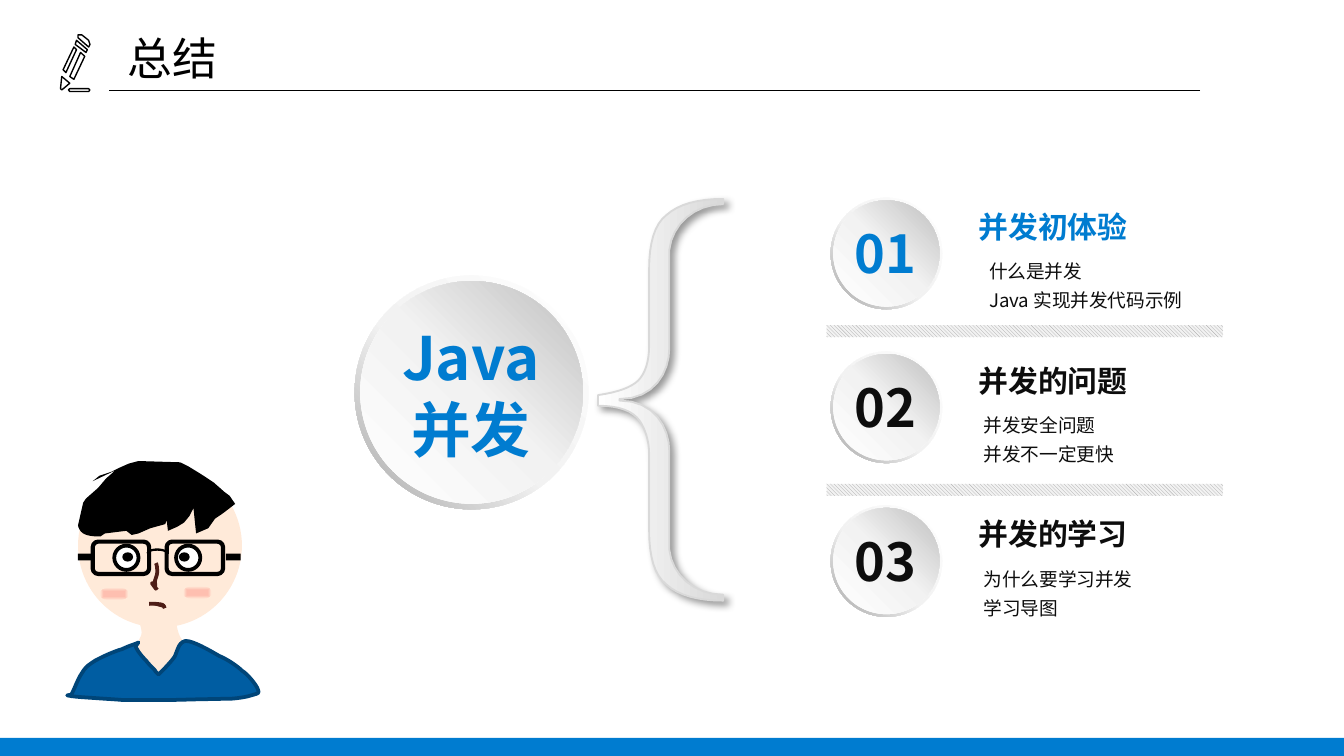
from dataclasses import dataclass

from lxml import etree
from pptx import Presentation
from pptx import util as u
from pptx.dml.color import RGBColor
from pptx.enum import dml, shapes, text
from pptx.oxml import ns, parse_xml

Pt = u.Pt
KIND = shapes.MSO_SHAPE


@dataclass(frozen=True)
class Theme:
    font: str = "Noto Sans CJK SC"
    blue: str = "007CD0"
    ink: str = "0D0D0D"
    black: str = "000000"
    white: str = "FFFFFF"
    pale: str = "F2F2F2"
    grey: str = "A6A6A6"
    edge: str = "D9D9D9"
    skin: str = "FFEAD9"
    shirt: str = "005DA2"
    collar: str = "004578"
    brown: str = "4D1D16"
    title: int = 24
    hub: int = 32
    number: int = 28
    heading: int = 16
    detail: int = 10
    # Gradients: stops, then angle (None spreads from the centre)
    rim: tuple = (((0, "FFFFFF"), (55, "F2F2F2"), (100, "A6A6A6")), 135)
    dome: tuple = (((0, "FFFFFF"), (51, "F2F2F2"), (100, "BFBFBF")), 315)
    brace: tuple = (((0, "FFFFFF"), (100, "D9D9D9")), 0)
    blush: tuple = (((0, "FEBFB0"), (39, "FEBFB0"), (97, "FFEAD9")), None)


T = Theme()
ITEMS = [
    ("并发初体验", ["什么是并发", "Java 实现并发代码示例"], T.blue, 529.9),
    ("并发的问题", ["并发安全问题", "并发不一定更快"], T.ink, 527),
    ("并发的学习", ["为什么要学习并发", "学习导图"], T.ink, 527),
]

# Outlines: two numbers are a straight step, six are a Bézier curve
PENCIL = [
    [(37.4, 47.5), (47.5, 47.5), (48.2, 48.2), (47.5, 49), (37.4, 49), (36.7, 48.2)],
    [(37.4, 41), (43.2, 28.1), (45.4, 30.2), (39.6, 42.5)],
    [(33.8, 37.4), (39.6, 25.2), (41, 26.6), (35.3, 38.9)],
    [(32.4, 47.5), (33.1, 41), (37.4, 44.6), (33.1, 48.2)],
    [(41, 21.6), (40.3, 23.8), (46.1, 28.1), (46.8, 26.6)],
    [(41.8, 18.7), (43.9, 18.7), (47.5, 21.6), (48.2, 23.8), (47.5, 25.2), (41.8, 20.2)],
]
BRACE = [
    (387.4, 106.6), (387.4, 109.4), (372.2, 109.4, 360, 120.2, 358.6, 133.9),
    (358.6, 186.5), (358.6, 199.4, 350.6, 213.8, 331.9, 213.8), (331.9, 214.6),
    (350.6, 214.6, 358.6, 229, 358.6, 241.9), (358.6, 294.5),
    (360, 308.2, 372.2, 318.6, 387.4, 318.6), (387.4, 321.8),
    (373.7, 321.8, 363.6, 319, 357.1, 313.2), (350.6, 308.2, 347.8, 298.1, 347.8, 284.4),
    (347.8, 243.4), (347.8, 236.2, 345.6, 229.7, 342.7, 225.4),
    (339.1, 220.3, 331.9, 217.4, 320.4, 217.4), (320.4, 211.7),
    (331.2, 210.2, 338.4, 207.4, 342, 203.8), (345.6, 200.2, 347.8, 193.7, 347.8, 185),
    (347.8, 144), (347.8, 130.3, 350.6, 120.2, 357.1, 115.2),
    (363.6, 109.4, 373.7, 106.6, 387.4, 106.6),
]
HAIR = [
    (49.7, 257.8), (53.3, 254.9), (59.8, 252.7), (64, 250.6), (69, 248.4), (74.2, 247),
    (96.5, 247.7), (100.8, 249.8), (108, 254.2), (114.5, 258.5), (120.2, 263.5),
    (123.1, 265.7), (126, 270), (119.5, 275), (115.2, 277.9), (111.6, 283),
    (105.1, 285.8), (104.4, 279.4), (103.7, 272.2), (101.5, 276.5), (98.6, 280),
    (95, 282.2), (90, 284.4), (89.3, 278.6), (88.6, 280.8), (80.6, 283), (74.2, 285.8),
    (70.6, 286.6), (67.7, 284.4), (56.2, 285.8), (54, 287.3), (50.4, 287.3),
    (45, 287, 42.5, 285, 41.8, 281.5), (44.6, 269.3), (46.1, 267.1), (52.6, 261.4),
    (56.9, 256.3), (61.9, 252),
]
NECK = [(74.9, 334.1), (76, 338, 76, 339, 75.6, 340.6), (72.7, 346.3), (84.2, 360.7),
        (90, 355.7), (100.8, 346.3), (97, 343, 95, 340, 94.3, 332)]
SHIRT = [
    (99.4, 343.4), (103.7, 343.4, 112.3, 348.5, 117.4, 351.4),
    (122.4, 353.5, 127.4, 357.1, 129.6, 359.3), (132.5, 361, 137.5, 367, 138.2, 369.4),
    (139, 371.5, 138.2, 371.5, 136, 372.2), (133, 373, 131.8, 373.7, 123.8, 374.4),
    (116.6, 374.4, 90.7, 375.1, 90.7, 375.1), (66.2, 375.1),
    (57.6, 374.4, 43.2, 373.7, 38.2, 373), (36, 372.6), (38.2, 372.2),
    (39.6, 370, 41.8, 363.6, 43.9, 360.7), (46, 357, 48, 356, 51, 354),
    (54.7, 352, 61, 349, 65.5, 347.8), (69, 346, 73, 345, 74.2, 344.2), (72.7, 346.3),
    (73.4, 348.5, 76.3, 352, 78.5, 354.2), (80, 356.4, 83, 358.6, 83.5, 360),
    (85, 361.4), (86.4, 360, 90.7, 355.7, 92.9, 352.8), (95, 350.6, 95, 344.2, 99.4, 343.4),
]
NOSE = [(83.5, 301.7), (84.2, 303, 84.2, 304.6, 84.2, 306.7),
        (84.2, 308.2, 82.8, 311, 82.8, 312.5), (81.4, 312.5), (83.5, 315.4), (84.2, 314.6)]
MOUTH = [(79.9, 324.7), (82, 324, 85, 323.3, 86.4, 323.3), (87.8, 323.3, 88, 324, 88.6, 324.7)]


def paint(shape, fill=None, line=None, weight=0.75):
    shape.shadow.inherit = False
    if isinstance(fill, tuple):
        stops, angle = fill
        marks = "".join(f'<a:gs pos="{at * 1000}"><a:srgbClr val="{color}"/></a:gs>'
                        for at, color in stops)
        spread = (f'<a:lin ang="{angle * 60000}" scaled="0"/>' if angle is not None else
                  '<a:path path="shape"><a:fillToRect l="50000" t="50000" r="50000" b="50000"/></a:path>')
        shape.fill.gradient()
        old = shape._element.spPr.find(ns.qn("a:gradFill"))
        old.getparent().replace(old, parse_xml(
            f'<a:gradFill {ns.nsdecls("a")}><a:gsLst>{marks}</a:gsLst>{spread}</a:gradFill>'))
    elif fill:
        shape.fill.solid()
        shape.fill.fore_color.rgb = RGBColor.from_string(fill)
    else:
        shape.fill.background()
    if line:
        shape.line.color.rgb = RGBColor.from_string(line)
        shape.line.width = Pt(weight)
    else:
        shape.line.fill.background()
    return shape


def add_preset(page, kind, frame, *style):
    return paint(page.shapes.add_shape(kind, *map(Pt, frame)), *style)


def flatten(outline, steps=8):
    points = [outline[0]]
    for step in outline[1:]:
        if len(step) == 2:
            points.append(step)
            continue
        start, a, b, end = points[-1], step[:2], step[2:4], step[4:]
        for i in range(1, steps + 1):
            t = i / steps
            s = 1 - t
            points.append(tuple(s**3 * p + 3 * s * s * t * q + 3 * s * t * t * r + t**3 * e
                                for p, q, r, e in zip(start, a, b, end)))
    return [(Pt(x), Pt(y)) for x, y in points]


def add_outline(page, outlines, *style, close=True):
    first, *others = map(flatten, outlines)
    builder = page.shapes.build_freeform(*first[0])
    builder.add_line_segments(first[1:], close=close)
    for points in others:
        builder.move_to(*points[0])
        builder.add_line_segments(points[1:], close=close)
    return paint(builder.convert_to_shape(), *style)


def add_text(page, frame, lines, size, color, bold=False, wrap=True, margins=None,
             align=None, spacing=None):
    box = page.shapes.add_textbox(*map(Pt, frame)).text_frame
    box.word_wrap = wrap
    box.auto_size = text.MSO_AUTO_SIZE.SHAPE_TO_FIT_TEXT
    if margins:
        box.margin_left, box.margin_top, box.margin_right, box.margin_bottom = map(Pt, margins)
    box.text = "\n".join(lines)
    for para in box.paragraphs:
        para.alignment, para.line_spacing = align, spacing
        for span in para.runs:
            span.font.name, span.font.size, span.font.bold = T.font, Pt(size), bold
            span.font.color.rgb = RGBColor.from_string(color)
            etree.SubElement(span.font._element, ns.qn("a:ea"), typeface=T.font)


def add_disc(page, x, y, size):
    ring = add_preset(page, KIND.DONUT, (x, y, size, size), T.rim)
    ring.adjustments[0] = 0.05
    inset = size * 0.024
    inner = size - 2 * inset
    add_preset(page, KIND.OVAL, (x + inset, y + inset, inner, inner), T.dome)


def add_header(page):
    add_text(page, (61.2, 13, 63.4, 36), ["总结"], T.title, T.black, wrap=False)
    add_outline(page, PENCIL, T.white, T.black)
    rule = page.shapes.add_connector(shapes.MSO_CONNECTOR.STRAIGHT,
                                     Pt(643), Pt(48.4), Pt(58.3), Pt(48.4))
    rule.line.color.rgb = RGBColor.from_string(T.black)
    rule.line.width = Pt(0.75)
    etree.SubElement(rule._element.spPr, ns.qn("a:effectLst"))


def add_brace(page):
    brace = add_outline(page, [BRACE], T.brace, T.edge, 1)
    effects = brace._element.spPr.find(ns.qn("a:effectLst"))
    effects.append(parse_xml(
        f'<a:outerShdw {ns.nsdecls("a")} blurRad="{Pt(4)}" dist="{Pt(3)}" dir="2700000" '
        'algn="tl" rotWithShape="0"><a:srgbClr val="000000"><a:alpha val="40000"/>'
        '</a:srgbClr></a:outerShdw>'))


def add_divider(page, y):
    bar = add_preset(page, KIND.RECTANGLE, (442.8, y, 212.4, 6.5))
    bar.fill.patterned()
    bar.fill.pattern = dml.MSO_PATTERN.LIGHT_DOWNWARD_DIAGONAL
    bar.fill.fore_color.rgb = RGBColor.from_string(T.grey)
    bar.fill.back_color.rgb = RGBColor.from_string(T.pale)


def add_item(page, index, heading, details, color, detail_x):
    top = 105.9 + 82.4 * index
    margins = (0, 3.6, 0, 0)
    add_disc(page, 445, top, 59.8)
    add_text(page, (450.7, top + 9.3, 49.7, 41), [f"{index + 1:02}"], T.number, color, True, False)
    add_text(page, (524.2, top + 2.2, 142.6, 23), [heading], T.heading, color, True, margins=margins)
    add_text(page, (detail_x, top + 26.3, 121.7, 33.8), details, T.detail, T.ink,
             margins=margins, spacing=1.3)


def add_portrait(page):
    add_preset(page, KIND.OVAL, (41.8, 248.4, 87.8, 87.8), T.skin)
    add_outline(page, [HAIR], T.black)
    # Glasses
    add_preset(page, KIND.BLOCK_ARC, (78.5, 293.8, 11.5, 5), T.black)
    for x in (89.3, 49.7):
        add_preset(page, KIND.ROUNDED_RECTANGLE, (x, 290.2, 30.2, 17.3), None, T.black, 2.25)
    for x, width in ((41.8, 7.2), (121, 7.9)):
        add_preset(page, KIND.RECTANGLE, (x, 296.6, width, 3.6), T.black)
    # Eyes and cheeks
    for eye, pupil in ((94.3, 95.8), (61.2, 65.5)):
        add_preset(page, KIND.OVAL, (eye, 292.3, 13, 13), T.white, T.black, 2)
        add_preset(page, KIND.OVAL, (pupil, 295.9, 5.8, 5), T.black)
    for x, y in ((53.3, 314.6), (97.9, 313.9)):
        add_preset(page, KIND.OVAL, (x, y, 15.8, 7.2), T.blush)
    # Neck, shirt, nose and mouth
    add_outline(page, [NECK], T.skin)
    add_outline(page, [SHIRT], T.shirt, T.collar, 2)
    add_outline(page, [NOSE], T.brown, T.brown, 2, close=False)
    add_outline(page, [MOUTH], T.brown, T.brown, 2, close=False).rotation = 15.3


def main():
    deck = Presentation()
    deck.slide_width, deck.slide_height = Pt(720), Pt(405)
    page = deck.slides.add_slide(deck.slide_layouts[6])
    add_preset(page, KIND.RECTANGLE, (0, 395.3, 720, 9.7), T.blue)
    add_header(page)
    # Hub and its branches
    add_brace(page)
    add_disc(page, 190, 147.6, 125.3)
    add_text(page, (195.8, 172.1, 113, 77.8), ["Java", "并发"], T.hub, T.blue, True,
             margins=(0, 0, 0, 0), align=text.PP_ALIGN.CENTER)
    for y in (174.2, 259.2):
        add_divider(page, y)
    for index, item in enumerate(ITEMS):
        add_item(page, index, *item)
    add_portrait(page)
    deck.save("out.pptx")


if __name__ == "__main__":
    main()
